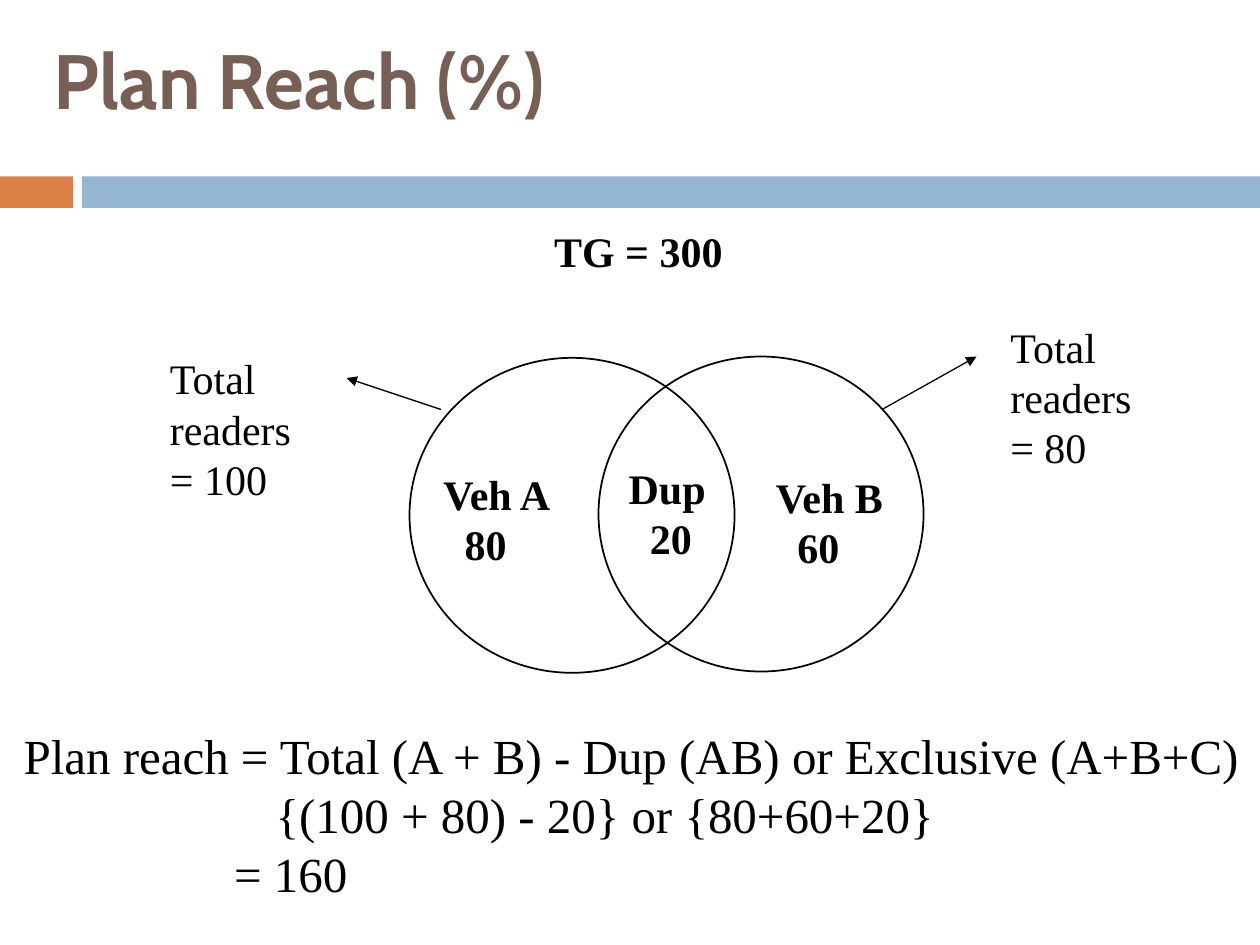
from dataclasses import dataclass

from pptx import Presentation
from pptx.dml.color import RGBColor
from pptx.enum.shapes import MSO_CONNECTOR, MSO_SHAPE
from pptx.enum.text import MSO_ANCHOR
from pptx.oxml.ns import qn
from pptx.util import Inches, Pt
from lxml.etree import SubElement


@dataclass(frozen=True)
class Theme:
    title_color: RGBColor = RGBColor(0x77, 0x5F, 0x55)
    ink: RGBColor = RGBColor(0, 0, 0)
    orange: RGBColor = RGBColor(0xDD, 0x80, 0x47)
    blue: RGBColor = RGBColor(0x94, 0xB6, 0xD2)
    title_font: str = "Cabin"
    body_font: str = "Times New Roman"
    title_size: int = 44
    label_size: int = 24
    formula_size: int = 28


THEME = Theme()

# Places are left, top, width, height in inches.
TITLE = ("Plan Reach (%)", (0.33, 0, 8.5, 1.25))
BANDS = [((0, 1.4, 0.58, 0.25), THEME.orange), ((0.65, 1.4, 9.35, 0.25), THEME.blue)]
CIRCLES = [(3.25, 2.84, 2.58, 2.5), (4.75, 2.83, 2.58, 2.5)]

# Each line of text is paired with its left indent in inches.
VALUE_INDENT = 0.17
REGIONS = [
    ([("Veh A", 0), ("80", VALUE_INDENT)], (3.42, 3.67, 1.1, 0.9)),
    ([("Veh B", 0), ("60", VALUE_INDENT)], (6.06, 3.69, 1.08, 0.9)),
    ([("Dup", 0), ("20", VALUE_INDENT)], (4.89, 3.62, 0.81, 0.9)),
    ([("TG = 300", 0)], (4.3, 1.74, 1.54, 0.5)),
]
FORMULA = (
    [
        ("Plan reach = Total (A + B) - Dup (AB) or Exclusive (A+B+C)", 0),
        ("{(100 + 80) - 20} or {80+60+20}", 2),
        ("= 160", 1.67),
    ],
    (0.09, 5.71, 9.9, 1.5),
)
TOTALS = [
    ([("Total readers = 100", 0)], (1.25, 2.75, 1.42, 1.3)),
    ([("Total readers = 80", 0)], (7.92, 2.5, 1.42, 1.3)),
]
ARROWS = [((3.5, 3.25), (2.75, 3)), ((7, 3.25), (7.75, 2.83))]


def inches(values):
    return [Inches(value) for value in values]


def add_text(page, lines, place, size, font=THEME.body_font, color=THEME.ink,
             bold=False, wrap=False):
    box = page.shapes.add_textbox(*inches(place))
    frame = box.text_frame
    frame.word_wrap = wrap
    for number, (text, indent) in enumerate(lines):
        para = frame.add_paragraph() if number else frame.paragraphs[0]
        para.text = text
        if indent:
            properties = para._p.get_or_add_pPr()
            properties.set("marL", str(Inches(indent)))
            properties.set("indent", "0")
        para.font.name = font
        para.font.size = Pt(size)
        para.font.bold = bold
        para.font.color.rgb = color
    return frame


def add_band(page, place, color):
    band = page.shapes.add_shape(MSO_SHAPE.RECTANGLE, *inches(place))
    band.shadow.inherit = False
    band.fill.solid()
    band.fill.fore_color.rgb = color
    band.line.fill.background()


def add_circle(page, place):
    circle = page.shapes.add_shape(MSO_SHAPE.OVAL, *inches(place))
    circle.shadow.inherit = False
    circle.fill.background()
    circle.line.color.rgb = THEME.ink
    circle.line.width = Pt(1)


def add_arrow(page, start, end):
    arrow = page.shapes.add_connector(MSO_CONNECTOR.STRAIGHT, *inches(start + end))
    arrow.line.color.rgb = THEME.ink
    arrow.line.width = Pt(0.75)
    SubElement(arrow.line._get_or_add_ln(), qn("a:tailEnd"), type="triangle")
    SubElement(arrow._element.spPr, qn("a:effectLst"))


def main():
    deck = Presentation()
    deck.slide_width, deck.slide_height = Inches(10), Inches(7.5)
    page = deck.slides.add_slide(deck.slide_layouts[6])

    for place, color in BANDS:
        add_band(page, place, color)
    title, title_place = TITLE
    title_frame = add_text(page, [(title, 0)], title_place, THEME.title_size,
                           THEME.title_font, THEME.title_color, bold=True, wrap=True)
    title_frame.vertical_anchor = MSO_ANCHOR.MIDDLE

    for place in CIRCLES:
        add_circle(page, place)
    for lines, place in REGIONS:
        add_text(page, lines, place, THEME.label_size, bold=True)
    add_text(page, *FORMULA, THEME.formula_size)
    for start, end in ARROWS:
        add_arrow(page, start, end)
    for lines, place in TOTALS:
        add_text(page, lines, place, THEME.label_size, wrap=True)

    deck.save("out.pptx")


if __name__ == "__main__":
    main()
